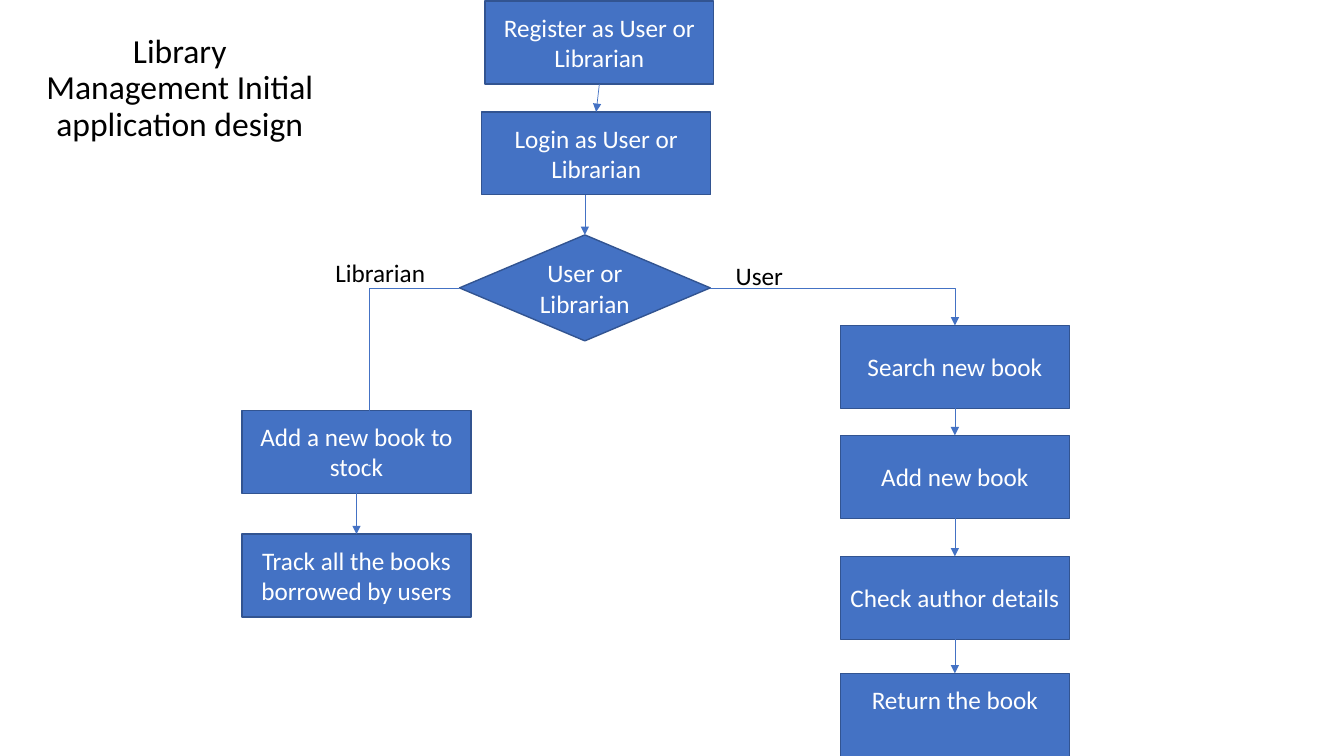
from lxml import etree
from pptx import Presentation
from pptx.dml.color import RGBColor
from pptx.enum.shapes import MSO_CONNECTOR as LINK, MSO_SHAPE as SHAPE
from pptx.enum.text import MSO_ANCHOR as ANCHOR, PP_ALIGN as ALIGN
from pptx.oxml.ns import qn
from pptx.util import Cm, Pt

COLORS = {"fill": "4472C4", "edge": "325491", "light": "FFFFFF", "dark": "000000"}
FONT = "Calibri"
STEP_W, STEP_H = 5.77, 2.09
TOP, LEFT, BOTTOM, RIGHT = range(4)


def rgb(name):
    return RGBColor.from_string(COLORS[name])


def write(tf, text, color, size=18, align=ALIGN.CENTER):
    tf.word_wrap = True
    p = tf.paragraphs[0]
    p.text = text
    p.alignment = align
    p.font.name, p.font.size = FONT, Pt(size)
    p.font.color.rgb = rgb(color)
    return p


def add_node(s, text, x, y, w=STEP_W, h=STEP_H, kind=SHAPE.RECTANGLE):
    sp = s.shapes.add_shape(kind, Cm(x), Cm(y), Cm(w), Cm(h))
    sp.shadow.inherit = False
    sp.fill.solid()
    sp.fill.fore_color.rgb = rgb("fill")
    sp.line.color.rgb = rgb("edge")
    sp.line.width = Pt(1)
    sp.text_frame.vertical_anchor = ANCHOR.MIDDLE
    write(sp.text_frame, text, "light")
    return sp


def add_arrow(s, x1, y1, x2, y2, kind=LINK.STRAIGHT):
    """Draw an arrow between two points; an elbow runs sideways, then down."""
    c = s.shapes.add_connector(kind, x1, y1, x2, y2)
    c.line.color.rgb = rgb("fill")
    c.line.width = Pt(0.5)
    etree.SubElement(c.line._get_or_add_ln(), qn("a:tailEnd"), type="triangle")
    sp_pr = c._element.spPr
    etree.SubElement(sp_pr, qn("a:effectLst"))
    if kind == LINK.ELBOW:
        sp_pr.find(qn("a:prstGeom")).set("prst", "bentConnector2")
    return c


def join(s, upper, lower):
    c = add_arrow(s, upper.left + upper.width // 2, upper.top + upper.height,
                  lower.left + lower.width // 2, lower.top)
    c.begin_connect(upper, BOTTOM)
    c.end_connect(lower, TOP)


def add_column(s, x, steps):
    """Stack steps, given as (text, top), and join each to the next."""
    nodes = [add_node(s, text, x, y) for text, y in steps]
    for upper, lower in zip(nodes, nodes[1:]):
        join(s, upper, lower)
    return nodes


def add_label(s, text, x, y, w):
    sp = s.shapes.add_textbox(Cm(x), Cm(y), Cm(w), Cm(1.02))
    write(sp.text_frame, text, "dark", align=ALIGN.LEFT)


def add_heading(s, x, y, w, h):
    title, sub = s.placeholders[0], s.placeholders[1]
    title._element.getparent().remove(title._element)
    sub.left, sub.top, sub.width, sub.height = Cm(x), Cm(y), Cm(w), Cm(h)
    p = write(sub.text_frame, "Library Management Initial application design", "dark", 24)
    p.line_spacing = 0.9
    p.space_before = Pt(10)


def add_sign_in(s, x, y):
    """Place the register and login steps above the role decision."""
    register = add_node(s, "Register as User or Librarian", x + 0.64, y)
    login = add_node(s, "Login as User or Librarian", x + 0.56, y + 2.79)
    join(s, register, login)
    decision = add_node(s, "User or Librarian", x, y + 5.89, 6.32, 2.67, SHAPE.DIAMOND)
    middle = decision.left + decision.width // 2
    c = add_arrow(s, middle, login.top + login.height, middle, decision.top)
    c.end_connect(decision, TOP)
    return decision


def add_librarian_branch(s, decision, x, y):
    first, _ = add_column(s, x, [("Add a new book to stock", y),
                                 ("Track all the books borrowed by users", y + 3.12)])
    c = add_arrow(s, decision.left, decision.top + decision.height // 2,
                  Cm(x + 3.2), first.top + Cm(1.4), LINK.ELBOW)
    c.begin_connect(decision, LEFT)
    add_label(s, "Librarian", x + 2.1, y - 3.99, 3.2)


def add_user_branch(s, decision, x, y):
    nodes = add_column(s, x, [("Search new book", y), ("Add new book", y + 2.77),
                              ("Check author details", y + 5.82),
                              ("Return the book", y + 8.77)])
    nodes[-1].text_frame.margin_bottom = Cm(0.9)
    first = nodes[0]
    c = add_arrow(s, decision.left + decision.width, decision.top + decision.height // 2,
                  first.left + first.width // 2, first.top, LINK.ELBOW)
    c.begin_connect(decision, RIGHT)
    c.end_connect(first, TOP)
    add_label(s, "User", x - 2.89, y - 1.77, 4.11)


def main():
    prs = Presentation()
    prs.slide_width, prs.slide_height = Cm(33.87), Cm(19.05)
    s = prs.slides.add_slide(prs.slide_layouts[0])
    add_heading(s, 0.86, 0.74, 7.34, 4.17)
    decision = add_sign_in(s, 11.58, 0.03)
    add_librarian_branch(s, decision, 6.1, 10.34)
    add_user_branch(s, decision, 21.18, 8.2)
    prs.save("out.pptx")


if __name__ == "__main__":
    main()
